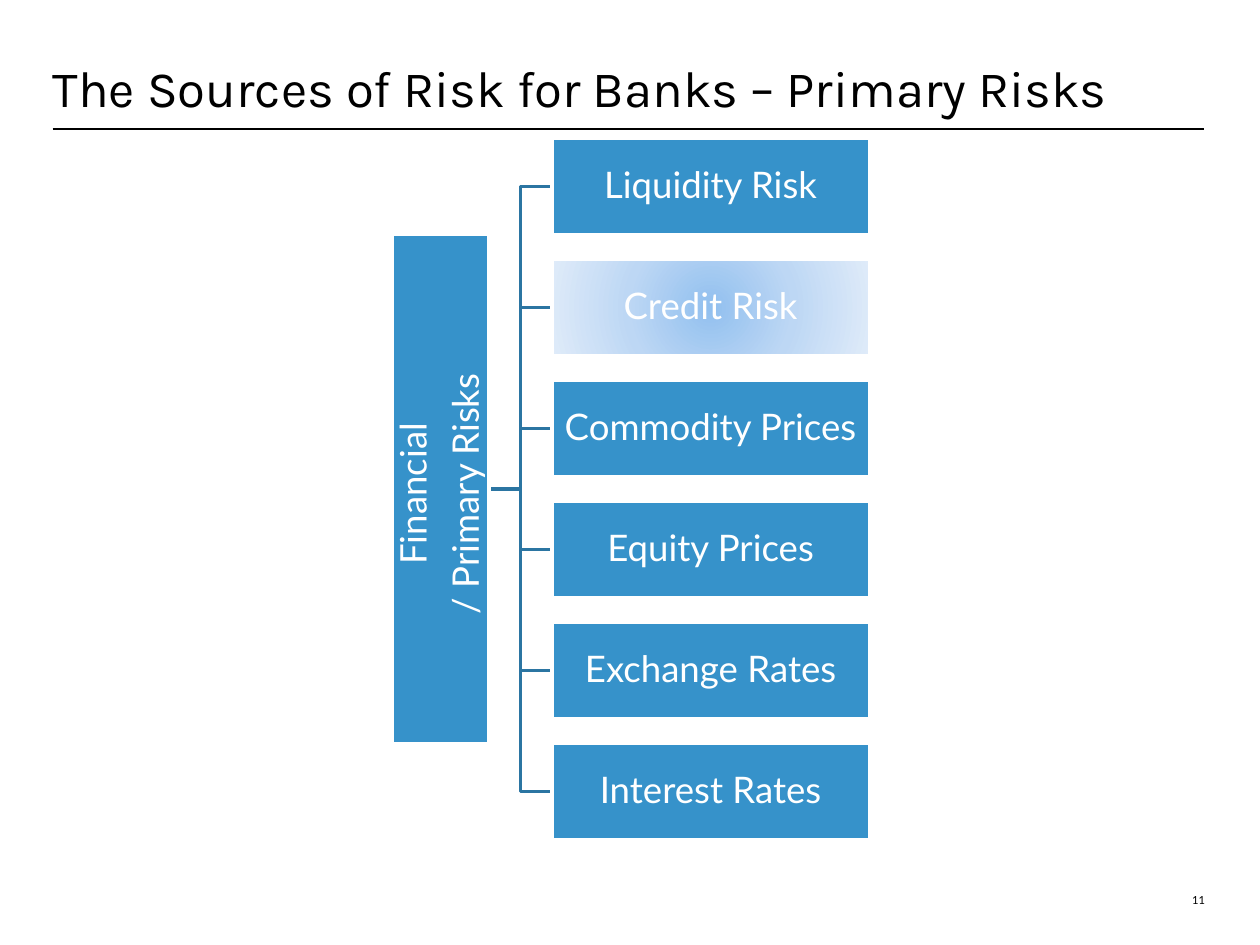
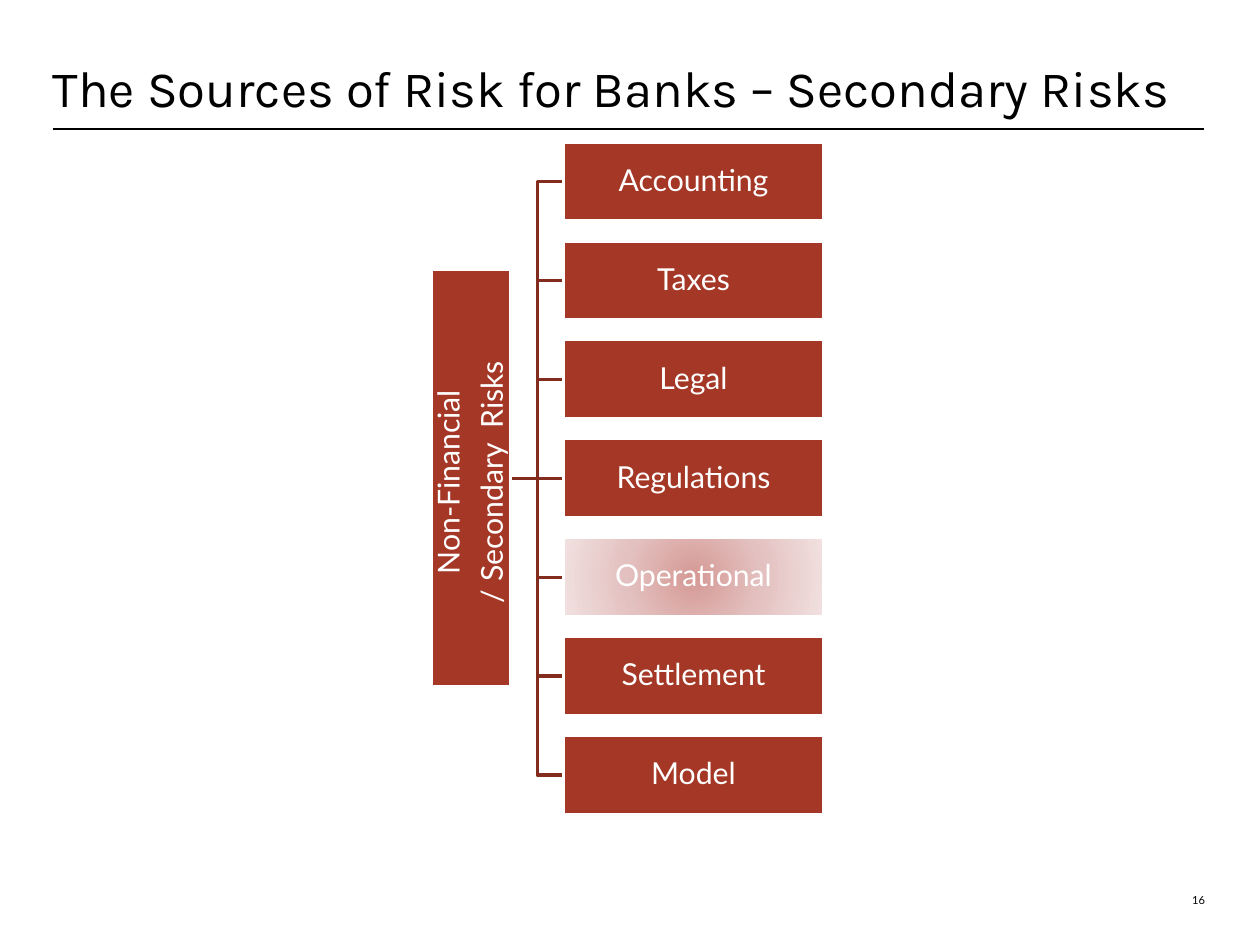
from dataclasses import dataclass

from pptx import Presentation
from pptx.dml.color import RGBColor
from pptx.enum.shapes import MSO_CONNECTOR, MSO_SHAPE
from pptx.enum.text import MSO_ANCHOR, PP_ALIGN
from pptx.oxml import parse_xml
from pptx.oxml.ns import nsdecls, qn
from pptx.util import Inches, Pt

# Shared style
BLACK, WHITE = "000000", "FFFFFF"
TITLE_FONT, BODY_FONT = "Karla", "Lato"
MARGIN_LEFT, MARGIN_RIGHT = 0.46, 10.51
RULE_Y = 1.13
BRANCH_WIDTH = 2


@dataclass
class RiskTree:
    title: str
    page: int
    hub_lines: list[str]
    risks: list[str]
    highlighted: str
    fill: str
    branch_color: str
    glow: list[str]  # highlight colours from centre to edge
    font_size: int
    inset: float
    hub_right: float
    hub_length: float
    box_left: float
    box_width: float
    box_height: float
    first_top: float
    last_top: float


TREES = [
    RiskTree(
        title="The Sources of Risk for Banks – Primary Risks", page=11,
        hub_lines=["Financial ", "/ Primary Risks "],
        risks=["Liquidity Risk", "Credit Risk", "Commodity Prices",
               "Equity Prices", "Exchange Rates", "Interest Rates"],
        highlighted="Credit Risk", fill="3692CA", branch_color="2B75A2",
        glow=["92C0EF", "BDD7F4", "DFEBF9"], font_size=23, inset=0.02,
        hub_right=4.27, hub_length=4.44, box_left=4.82, box_width=2.77,
        box_height=0.84, first_top=1.21, last_top=6.49),
    RiskTree(
        title="The Sources of Risk for Banks – Secondary Risks", page=16,
        hub_lines=["Non-Financial ", "/ Secondary  Risks "],
        risks=["Accounting", "Taxes", "Legal", "Regulations",
               "Operational", "Settlement", "Model"],
        highlighted="Operational", fill="A43725", branch_color="832C1E",
        glow=["D59995", "E3C1C0", "F1E1E0"], font_size=19, inset=0.01,
        hub_right=4.46, hub_length=3.64, box_left=4.92, box_width=2.27,
        box_height=0.69, first_top=1.24, last_top=6.42),
]


def rgb(value: str) -> RGBColor:
    return RGBColor.from_string(value)


def write(shape, lines: list[str], font: str, size: int, color: str,
          anchor, inset: float = 0, **paragraph_format) -> None:
    """Fill a shape's text frame, one paragraph per line."""
    frame = shape.text_frame
    frame.word_wrap = True
    frame.vertical_anchor = anchor
    for side in ("left", "top", "right", "bottom"):
        setattr(frame, f"margin_{side}", Inches(inset))
    frame.text = "\n".join(lines)
    for paragraph in frame.paragraphs:
        for name, value in paragraph_format.items():
            setattr(paragraph, name, value)
        for name, value in {"name": font, "size": Pt(size)}.items():
            setattr(paragraph.font, name, value)
        paragraph.font.color.rgb = rgb(color)


def style_line(line, color: str, width: float) -> None:
    line.color.rgb = rgb(color)
    line.width = Pt(width)


def add_straight(slide, x1: float, y1: float, x2: float, y2: float,
                 color: str, width: float):
    connector = slide.shapes.add_connector(
        MSO_CONNECTOR.STRAIGHT, Inches(x1), Inches(y1), Inches(x2), Inches(y2))
    style_line(connector.line, color, width)
    connector._element.spPr.append(parse_xml(f"<a:effectLst {nsdecls('a')}/>"))
    return connector


def add_frame(slide, tree: RiskTree) -> None:
    """Title, rule and page number."""
    title = slide.shapes.add_textbox(
        Inches(MARGIN_LEFT), 0, Inches(MARGIN_RIGHT - MARGIN_LEFT), Inches(1.03))
    write(title, [tree.title], TITLE_FONT, 32, BLACK, MSO_ANCHOR.BOTTOM,
          line_spacing=Pt(32))
    add_straight(slide, MARGIN_LEFT, RULE_Y, MARGIN_RIGHT, RULE_Y, BLACK, 1.25)
    page = slide.shapes.add_textbox(
        Inches(10.07), Inches(7.5), Inches(0.45), Inches(0.42))
    write(page, [str(tree.page)], BODY_FONT, 7, BLACK, MSO_ANCHOR.BOTTOM,
          alignment=PP_ALIGN.RIGHT)


def add_box(slide, tree: RiskTree, left: float, top: float, width: float,
            lines: list[str]):
    box = slide.shapes.add_shape(
        MSO_SHAPE.RECTANGLE, Inches(left), Inches(top), Inches(width),
        Inches(tree.box_height))
    box.shadow.inherit = False
    box.fill.solid()
    box.fill.fore_color.rgb = rgb(tree.fill)
    style_line(box.line, WHITE, 2)
    write(box, lines, BODY_FONT, tree.font_size, WHITE, MSO_ANCHOR.MIDDLE,
          tree.inset, alignment=PP_ALIGN.CENTER, line_spacing=0.9,
          space_after=Pt(0.35 * tree.font_size))
    return box


def set_glow(box, colors: list[str]) -> None:
    """Replace the solid fill by a circular gradient."""
    stops = "".join(
        f'<a:gs pos="{i * 50000}"><a:srgbClr val="{color}"/></a:gs>'
        for i, color in enumerate(colors))
    gradient = parse_xml(
        f'<a:gradFill {nsdecls("a")} rotWithShape="1"><a:gsLst>{stops}</a:gsLst>'
        '<a:path path="circle"><a:fillToRect l="50000" t="50000" r="50000" '
        'b="50000"/></a:path></a:gradFill>')
    properties = box._element.spPr
    properties.replace(properties.find(qn("a:solidFill")), gradient)


def add_branch(slide, tree: RiskTree, hub, box, hub_y: float, box_y: float):
    """Join hub and box: straight on the same level, else with two bends."""
    start, end = tree.hub_right, tree.box_left
    if abs(hub_y - box_y) < 0.01:
        branch = add_straight(slide, start, hub_y, end, box_y,
                              tree.branch_color, BRANCH_WIDTH)
        branch.begin_connect(hub, 2)
        branch.end_connect(box, 1)
        # The hub is turned, so its bottom side faces right
        branch.begin_x, branch.begin_y = Inches(start), branch.end_y
        return branch
    middle = (start + end) / 2
    builder = slide.shapes.build_freeform(Inches(start), Inches(hub_y))
    corners = [(middle, hub_y), (middle, box_y), (end, box_y)]
    builder.add_line_segments(
        [(Inches(x), Inches(y)) for x, y in corners], close=False)
    branch = builder.convert_to_shape()
    branch.fill.background()
    branch.shadow.inherit = False
    style_line(branch.line, tree.branch_color, BRANCH_WIDTH)
    return branch


def add_tree(slide, tree: RiskTree) -> None:
    half = tree.box_height / 2
    pitch = (tree.last_top - tree.first_top) / (len(tree.risks) - 1)
    hub_y = (tree.first_top + tree.last_top) / 2 + half

    # Hub, turned to read upwards
    hub = add_box(slide, tree, tree.hub_right - half - tree.hub_length / 2,
                  hub_y - half, tree.hub_length, tree.hub_lines)
    hub.rotation = 270

    # Risks, with their branches behind the boxes
    for row, risk in enumerate(tree.risks):
        top = tree.first_top + row * pitch
        box = add_box(slide, tree, tree.box_left, top, tree.box_width, [risk])
        if risk == tree.highlighted:
            set_glow(box, tree.glow)
        branch = add_branch(slide, tree, hub, box, hub_y, top + half)
        slide.shapes._spTree.insert(2, branch._element)


def main() -> None:
    deck = Presentation()
    deck.slide_width, deck.slide_height = Inches(11), Inches(8.25)
    for tree in TREES:
        slide = deck.slides.add_slide(deck.slide_layouts[6])
        add_tree(slide, tree)
        add_frame(slide, tree)
    deck.save("out.pptx")


if __name__ == "__main__":
    main()
